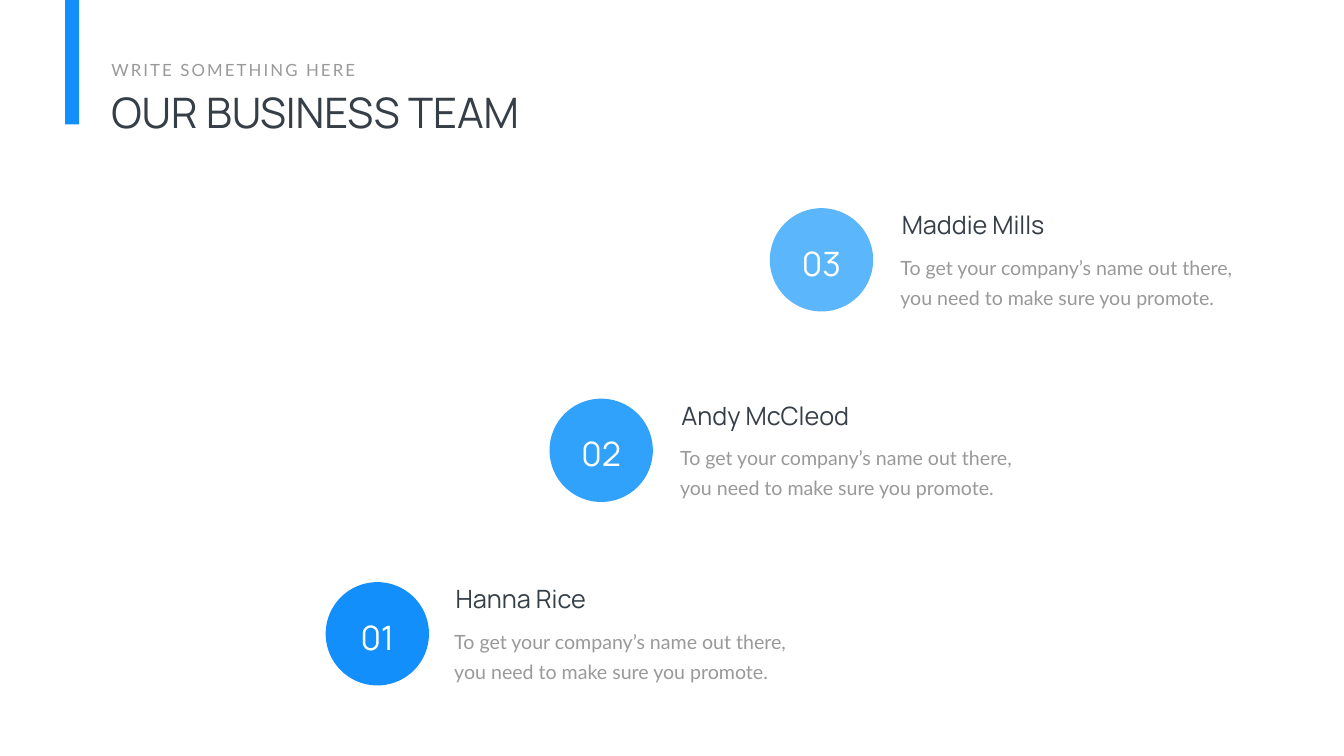
"""Build a business team slide with three numbered members on a rising diagonal."""
import dataclasses

import pptx
import pptx.dml.color
import pptx.enum.shapes
import pptx.enum.text
import pptx.util

EMU_PER_PX = 9144
SHAPES = pptx.enum.shapes.MSO_SHAPE
ALIGN = pptx.enum.text.PP_ALIGN


@dataclasses.dataclass(frozen=True)
class Theme:
    """Colours, fonts and type sizes of the slide."""
    accent: str = "138FFB"
    accent_mid: str = "30A2FB"
    accent_light: str = "5BB6FB"
    dark: str = "363E48"
    grey: str = "999999"
    white: str = "FFFFFF"
    heading_font: str = "Manrope"
    body_font: str = "Lato"
    title_size: int = 60
    number_size: int = 48
    name_size: int = 36
    body_size: int = 28
    kicker_size: int = 24
    body_leading: int = 43


THEME = Theme()
BLURB = "To get your company’s name out there, you need to make sure you promote."


def px(value):
    """Turn whole px, 100 to the inch, into EMU."""
    return pptx.util.Emu(value * EMU_PER_PX)


def set_attributes(target, values):
    """Set each named attribute of the target."""
    for name, value in values.items():
        setattr(target, name, value)


def add_filled_shape(slide, kind, box, color):
    """Add a preset shape with a flat fill and no outline."""
    shape = slide.shapes.add_shape(kind, *map(px, box))
    shape.shadow.inherit = False
    shape.fill.solid()
    shape.fill.fore_color.rgb = pptx.dml.color.RGBColor.from_string(color)
    shape.line.fill.background()


def add_text(slide, text, box, font, size, color, frame_format=None,
             paragraph_format=None, spacing=0):
    """Add a one-paragraph text box that grows with its text."""
    frame = slide.shapes.add_textbox(*map(px, box)).text_frame
    set_attributes(frame, {
        "word_wrap": True,
        "auto_size": pptx.enum.text.MSO_AUTO_SIZE.SHAPE_TO_FIT_TEXT,
        **(frame_format or {}),
    })
    paragraph = frame.paragraphs[0]
    set_attributes(paragraph, paragraph_format or {})
    run = paragraph.add_run()
    run.text = text
    set_attributes(run.font, {"name": font, "size": pptx.util.Pt(size)})
    run.font.color.rgb = pptx.dml.color.RGBColor.from_string(color)
    if spacing:
        run.font._element.set("spc", str(spacing * 100))


def add_header(slide):
    """Add the accent bar, the kicker and the title."""
    add_filled_shape(slide, SHAPES.RECTANGLE, (129, 0, 28, 247), THEME.accent)
    add_text(slide, "OUR BUSINESS TEAM", (211, 167, 1606, 111),
             THEME.heading_font, THEME.title_size, THEME.dark)
    add_text(slide, "WRITE SOMETHING HERE", (211, 113, 514, 50),
             THEME.body_font, THEME.kicker_size, THEME.grey,
             {"word_wrap": False}, spacing=3)


def add_member(slide, number, name, color, left, top, text_left, name_width):
    """Add a numbered circle with the member's name and description."""
    add_filled_shape(slide, SHAPES.OVAL, (left, top, 205, 205), color)
    add_text(slide, f"{number:02d}", (left + 30, top + 64, 145, 91),
             THEME.heading_font, THEME.number_size, THEME.white,
             paragraph_format={"alignment": ALIGN.CENTER})
    add_text(slide, name, (text_left + 17, top - 2, name_width, 71),
             THEME.heading_font, THEME.name_size, THEME.dark,
             {"word_wrap": False})
    add_text(slide, BLURB, (text_left, top + 69, 722, 139),
             THEME.body_font, THEME.body_size, THEME.grey,
             {"margin_left": px(24), "margin_right": px(24),
              "margin_top": px(12), "margin_bottom": px(12)},
             {"line_spacing": pptx.util.Pt(THEME.body_leading)})


def main():
    """Build and save the slide."""
    presentation = pptx.Presentation()
    set_attributes(presentation,
                   {"slide_width": px(2666), "slide_height": px(1500)})
    slide = presentation.slides.add_slide(presentation.slide_layouts[6])
    add_header(slide)
    members = (
        ("Hanna Rice", THEME.accent, 646, 1155, 877, 310),
        ("Andy McCleod", THEME.accent_mid, 1090, 791, 1325, 390),
        ("Maddie Mills", THEME.accent_light, 1527, 413, 1762, 336),
    )
    for number, member in enumerate(members, start=1):
        add_member(slide, number, *member)
    presentation.save("out.pptx")


if __name__ == "__main__":
    main()
